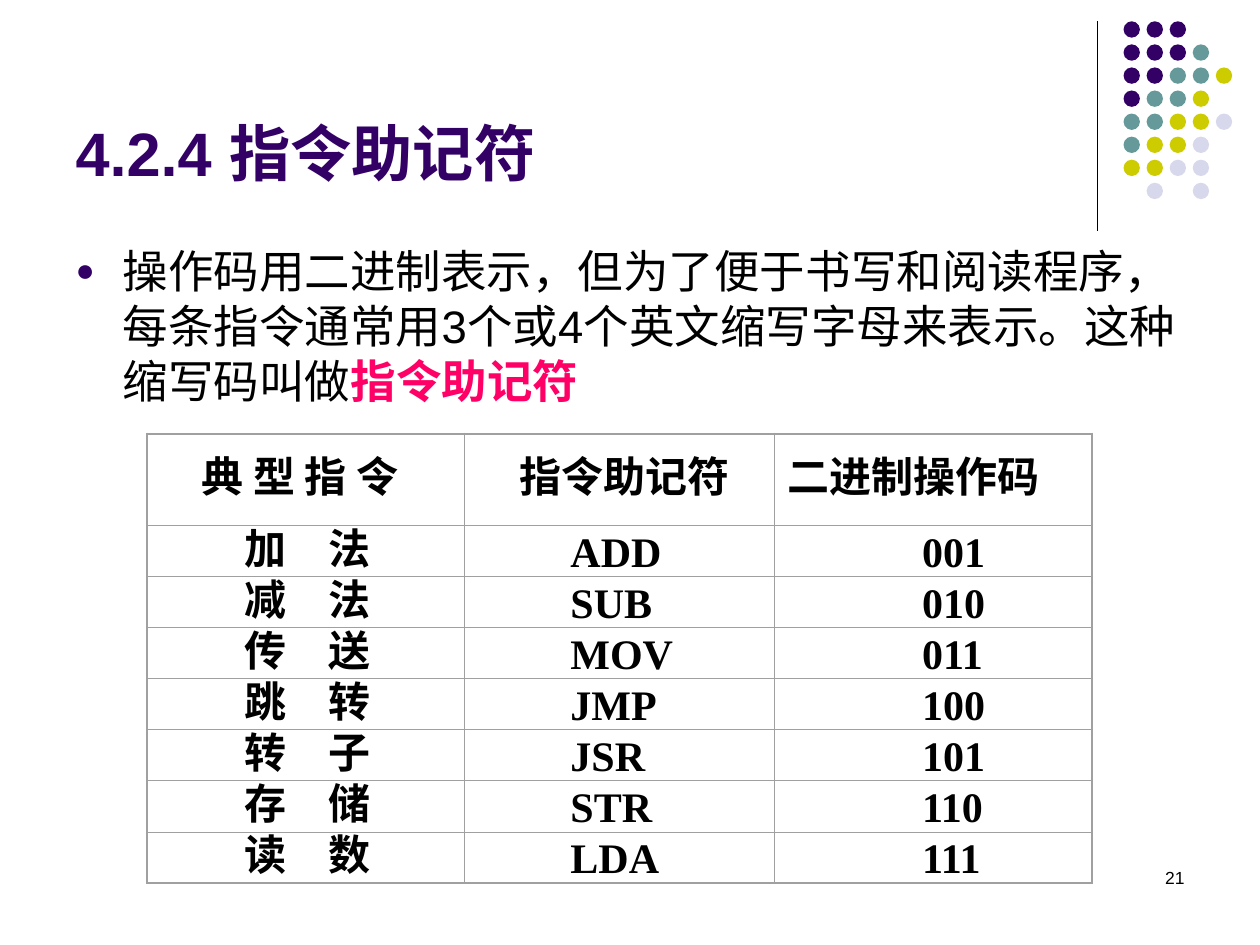
from lxml import etree
from pptx import Presentation
from pptx import util as u
from pptx.dml.color import RGBColor
from pptx.enum import shapes, text
from pptx.oxml.ns import qn

# Content
TITLE = "4.2.4 指令助记符"
BODY = "操作码用二进制表示，但为了便于书写和阅读程序，每条指令通常用3个或4个英文缩写字母来表示。这种缩写码叫做"
KEY_TERM = "指令助记符"
PAGE_NUMBER = "21"
ROWS = [
    ("典 型 指 令", "指令助记符", "二进制操作码"),
    ("加　法", "ADD", "001"),
    ("减　法", "SUB", "010"),
    ("传　送", "MOV", "011"),
    ("跳　转", "JMP", "100"),
    ("转　子", "JSR", "101"),
    ("存　储", "STR", "110"),
    ("读　数", "LDA", "111"),
]
COLORS = {
    "purple": "330066", "teal": "669999", "olive": "CCCC00", "pale": "D8D8EC",
    "black": "000000", "pink": "FF0066", "grid": "A0A0A0",
}
# One letter per dot: the first letter of its colour, "." for a gap
DOTS = ["ppp..", "pppt.", "pptto", "ptto.", "ttool", "tool.", "ooll.", ".l.l."]
DOT_COLORS = {"p": "purple", "t": "teal", "o": "olive", "l": "pale"}

# Table measures in cm
COLUMN_WIDTHS = [6.4, 6.25, 6.4]
HEADER_HEIGHT, ROW_HEIGHT = 1.85, 1.03
HEADER_INDENTS = [1.1, 1.1, 0.25]
ROW_INDENTS = [1.95, 2.13, 2.97]


def rgb(name):
    return RGBColor.from_string(COLORS[name])


def place(shape, left, top, width, height):
    shape.left, shape.top = u.Cm(left), u.Cm(top)
    shape.width, shape.height = u.Cm(width), u.Cm(height)


def write(para, words, size=24, font="Arial", color="black", bold=False,
          align=text.PP_ALIGN.LEFT):
    para.alignment = align
    span = para.add_run()
    span.text = words
    span.font.size, span.font.name, span.font.bold = u.Pt(size), font, bold
    span.font.color.rgb = rgb(color)


def add_bullet(para, color, percent, char, indent):
    props = para._p.get_or_add_pPr()
    props.set("marL", str(u.Cm(indent)))
    props.set("indent", str(-u.Cm(indent)))
    tint = etree.SubElement(props, qn("a:buClr"))
    etree.SubElement(tint, qn("a:srgbClr"), val=COLORS[color])
    etree.SubElement(props, qn("a:buSzPct"), val=str(percent * 1000))
    etree.SubElement(props, qn("a:buFont"), typeface="Arial")
    etree.SubElement(props, qn("a:buChar"), char=char)


def set_borders(cell, widths):
    props = cell._tc.get_or_add_tcPr()
    for index, (side, width) in enumerate(widths.items()):
        line = etree.Element(qn("a:ln" + side), w=str(u.Pt(width)))
        fill = etree.SubElement(line, qn("a:solidFill"))
        etree.SubElement(fill, qn("a:srgbClr"), val=COLORS["grid"])
        props.insert(index, line)


def add_decoration(page):
    rule = page.shapes.add_connector(
        shapes.MSO_CONNECTOR.STRAIGHT, u.Cm(22.12), u.Cm(0.43), u.Cm(22.12), u.Cm(4.65))
    rule.line.color.rgb, rule.line.width = rgb("black"), u.Pt(0.75)
    etree.SubElement(rule._element.spPr, qn("a:effectLst"))

    left, top, pitch, size = 22.65, 0.43, 0.465, 0.33
    group = page.shapes.add_group_shape()
    for row, letters in enumerate(DOTS):
        for column, letter in enumerate(letters):
            if letter == ".":
                continue
            dot = group.shapes.add_shape(
                shapes.MSO_SHAPE.OVAL, u.Cm(left + column * pitch),
                u.Cm(top + row * pitch), u.Cm(size), u.Cm(size))
            dot.shadow.inherit = False
            dot.fill.solid()
            dot.fill.fore_color.rgb = rgb(DOT_COLORS[letter])
            dot.line.fill.background()


def add_instruction_table(page):
    heights = [HEADER_HEIGHT] + [ROW_HEIGHT] * (len(ROWS) - 1)
    frame = page.shapes.add_table(
        len(ROWS), len(COLUMN_WIDTHS), u.Cm(2.97), u.Cm(8.74),
        u.Cm(sum(COLUMN_WIDTHS)), u.Cm(sum(heights)))
    table = frame.table
    table.horz_banding = False
    for column, width in zip(table.columns, COLUMN_WIDTHS):
        column.width = u.Cm(width)
    last_row, last_column = len(ROWS) - 1, len(COLUMN_WIDTHS) - 1
    for r, words in enumerate(ROWS):
        table.rows[r].height = u.Cm(heights[r])
        indents = ROW_INDENTS if r else HEADER_INDENTS
        for c, word in enumerate(words):
            cell = table.cell(r, c)
            cell.fill.background()
            cell.vertical_anchor = text.MSO_ANCHOR.MIDDLE
            cell.margin_left = u.Cm(indents[c])
            cell.margin_top = cell.margin_bottom = cell.margin_right = 0
            para = cell.text_frame.paragraphs[0]
            para.line_spacing = u.Pt(29)
            write(para, word, font="Times New Roman", bold=True)
            outer = {"L": c == 0, "R": c == last_column, "T": r == 0, "B": r == last_row}
            set_borders(cell, {side: 1.25 if edge else 0.5 for side, edge in outer.items()})


def main():
    deck = Presentation()
    deck.slide_width, deck.slide_height = u.Cm(25.4), u.Cm(19.05)
    page = deck.slides.add_slide(deck.slide_layouts[1])
    add_decoration(page)

    # Title and body
    title, body = page.placeholders
    place(title, 1.27, 0.61, 20.95, 3.33)
    title.text_frame.auto_size = text.MSO_AUTO_SIZE.NONE
    title.text_frame.vertical_anchor = text.MSO_ANCHOR.BOTTOM
    write(title.text_frame.paragraphs[0], TITLE, size=35, color="purple", bold=True)

    place(body, 1.27, 4.78, 22.86, 12.24)
    body.text_frame.auto_size = text.MSO_AUTO_SIZE.NONE
    para = body.text_frame.paragraphs[0]
    add_bullet(para, color="purple", percent=70, char="●", indent=0.95)
    para.space_before = u.Pt(0)
    write(para, BODY, size=26)
    write(para, KEY_TERM, size=26, color="pink", bold=True)

    add_instruction_table(page)

    # Page number
    box = page.shapes.add_textbox(u.Cm(18.2), u.Cm(17.35), u.Cm(5.93), u.Cm(1.27))
    box.text_frame.word_wrap = True
    write(box.text_frame.paragraphs[0], PAGE_NUMBER, size=10, align=text.PP_ALIGN.RIGHT)

    deck.save("out.pptx")


if __name__ == "__main__":
    main()
